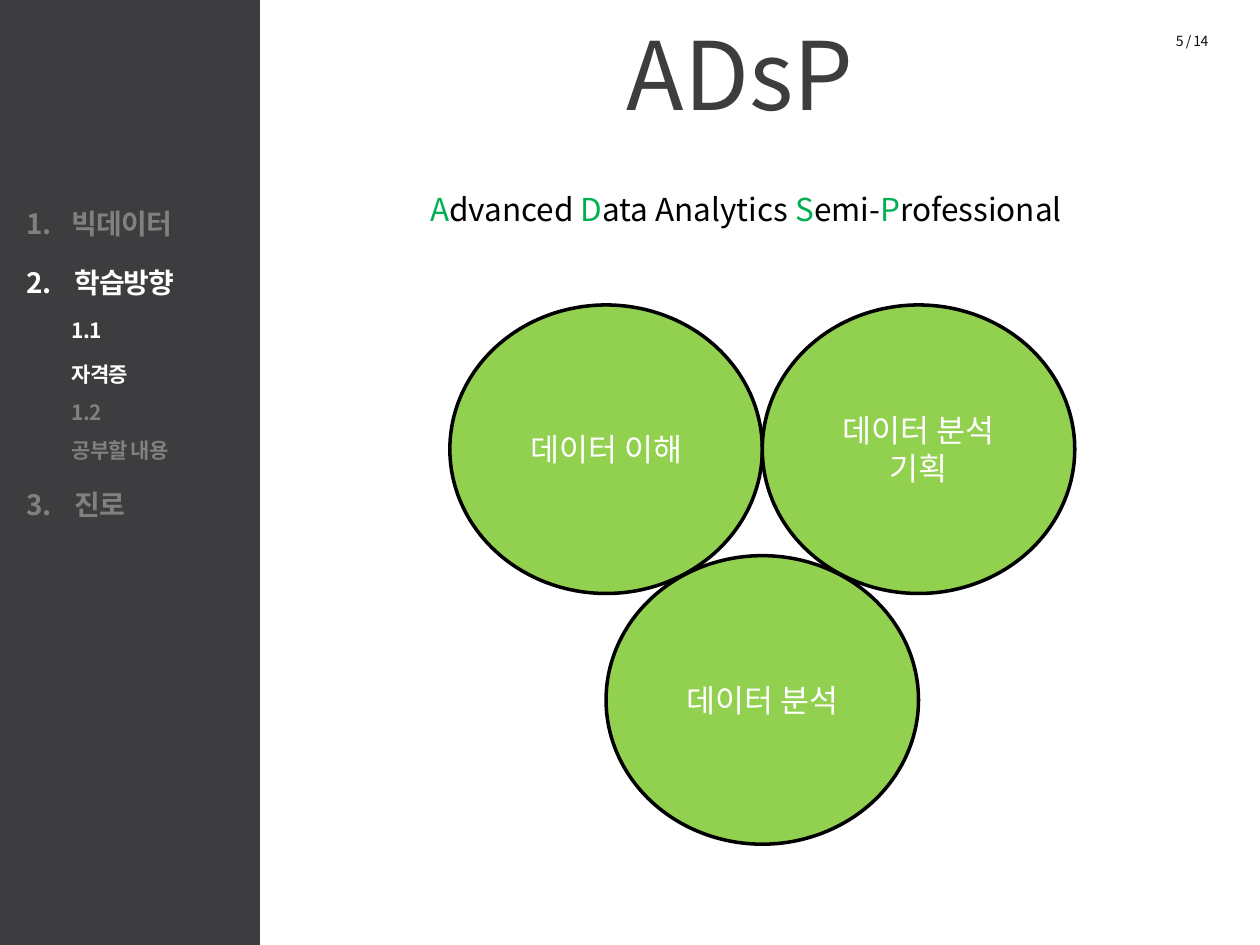
from pptx import Presentation, util as u
from pptx.dml.color import RGBColor
from pptx.enum import shapes, text
from pptx.oxml.ns import qn
from lxml import etree

theme = dict(
    font="Noto Sans CJK KR",
    dark="3D3C3E", mute="808080", white="FFFFFF", black="000000",
    page="0D0D0D", key="00B050", disc="92D050",
    head=54, lead=18, item=16, sub=12, tiny=8,
)

deck = Presentation()
deck.slide_width, deck.slide_height = u.Inches(10), u.Inches(7.5)
slide = deck.slides.add_slide(deck.slide_layouts[1])
mid, right, left = text.PP_ALIGN.CENTER, text.PP_ALIGN.RIGHT, text.PP_ALIGN.LEFT


def area(x, y, w, h):
    """Turn cells of a grid of 100 columns and 75 rows into lengths."""
    col, row = deck.slide_width / 100, deck.slide_height / 75
    return [int(n) for n in (x * col, y * row, w * col, h * row)]


def write(para, *runs, size, align=mid, bold=False, track=0, lines=1.0,
          margin=0, hang=0, number=None):
    """Fill a paragraph with runs, each a (words, colour name) pair."""
    para.alignment, para.line_spacing = align, lines
    para.space_before = para.space_after = u.Pt(0)
    props = para._p.get_or_add_pPr()
    props.set("marL", str(u.Inches(margin)))
    props.set("indent", str(u.Inches(hang)))
    if number:
        etree.SubElement(props, qn("a:buFont"), typeface="+mj-lt")
        etree.SubElement(props, qn("a:buAutoNum"), type="arabicPeriod",
                         startAt=str(number))
    else:
        etree.SubElement(props, qn("a:buNone"))
    for words, tint in runs:
        for i, part in enumerate(words.split("\n")):
            if i:
                para.add_line_break()
            run = para.add_run()
            run.text = part
            font = run.font
            font.size, font.bold = u.Pt(theme[size]), bold
            font.name = theme["font"]
            font.color.rgb = RGBColor.from_string(theme[tint])
            etree.SubElement(font._element, qn("a:ea"), typeface=theme["font"])
            if track:
                font._element.set("spc", str(int(track * 100)))


# Title and menu placeholders
title, menu = slide.shapes.title, slide.placeholders[1]
for holder, place in ((title, area(21.7, 0.8, 72.1, 13.1)),
                      (menu, area(1.1, 13.9, 18.7, 51.6))):
    holder.left, holder.top, holder.width, holder.height = place
    frame = holder.text_frame
    frame.word_wrap, frame.auto_size = True, text.MSO_AUTO_SIZE.NONE
    frame.vertical_anchor = text.MSO_ANCHOR.TOP

write(title.text_frame.paragraphs[0], ("ADsP", "dark"), size="head", hang=0.2)

items = [
    ("빅데이터", "mute", "item", 1.75, 1),
    ("학습방향", "white", "item", 1.75, 2),
    ("1.1\n자격증", "white", "sub", 1.75, None),
    ("1.2\n공부할 내용", "mute", "sub", 1.5, None),
    ("진로", "mute", "item", 1.75, 3),
]
frame = menu.text_frame
for i, (words, tint, size, lines, number) in enumerate(items):
    para = frame.add_paragraph() if i else frame.paragraphs[0]
    margin = 0.38 if number and number > 1 else 0.36
    write(para, (words, tint), size=size, align=left, bold=True, track=-0.5,
          lines=lines, margin=margin, hang=-margin if number else 0,
          number=number)

# Side bar behind the menu
bar = slide.shapes.add_shape(shapes.MSO_SHAPE.RECTANGLE, *area(-0.9, 0, 21.4, 75))
title.element.addprevious(bar.element)

# Page number and full name
name = [("A", "key"), ("dvanced ", "black"), ("D", "key"),
        ("ata Analytics ", "black"), ("S", "key"), ("emi-", "black"),
        ("P", "key"), ("rofessional", "black")]
for place, runs, look in (
    (area(79.6, 2.1, 17.3, 2.4), [("5 / 14", "page")],
     dict(size="tiny", align=right, track=-0.3)),
    (area(26, 14.6, 66.4, 4), name, dict(size="lead")),
):
    frame = slide.shapes.add_textbox(*place).text_frame
    frame.word_wrap = True
    write(frame.paragraphs[0], *runs, **look)

# Three touching discs: two above, one centred below
wide, high, drop = 24.8, 22.9, 19.9
discs = []
for step, level, words in ((0, 0, "데이터 이해"), (1, 0, "데이터 분석 기획"),
                           (0.5, 1, "데이터 분석")):
    disc = slide.shapes.add_shape(
        shapes.MSO_SHAPE.OVAL,
        *area(35.7 + step * wide, 24.2 + level * drop, wide, high))
    frame = disc.text_frame
    frame.word_wrap, frame.vertical_anchor = True, text.MSO_ANCHOR.MIDDLE
    write(frame.paragraphs[0], (words, "white"), size="lead")
    discs.append((disc, "disc", "black"))

for shape, fill, edge in [(bar, "dark", "dark"), *discs]:
    shape.shadow.inherit = False
    shape.fill.solid()
    shape.fill.fore_color.rgb = RGBColor.from_string(theme[fill])
    shape.line.color.rgb = RGBColor.from_string(theme[edge])
    shape.line.width = u.Pt(2)

deck.save("out.pptx")
